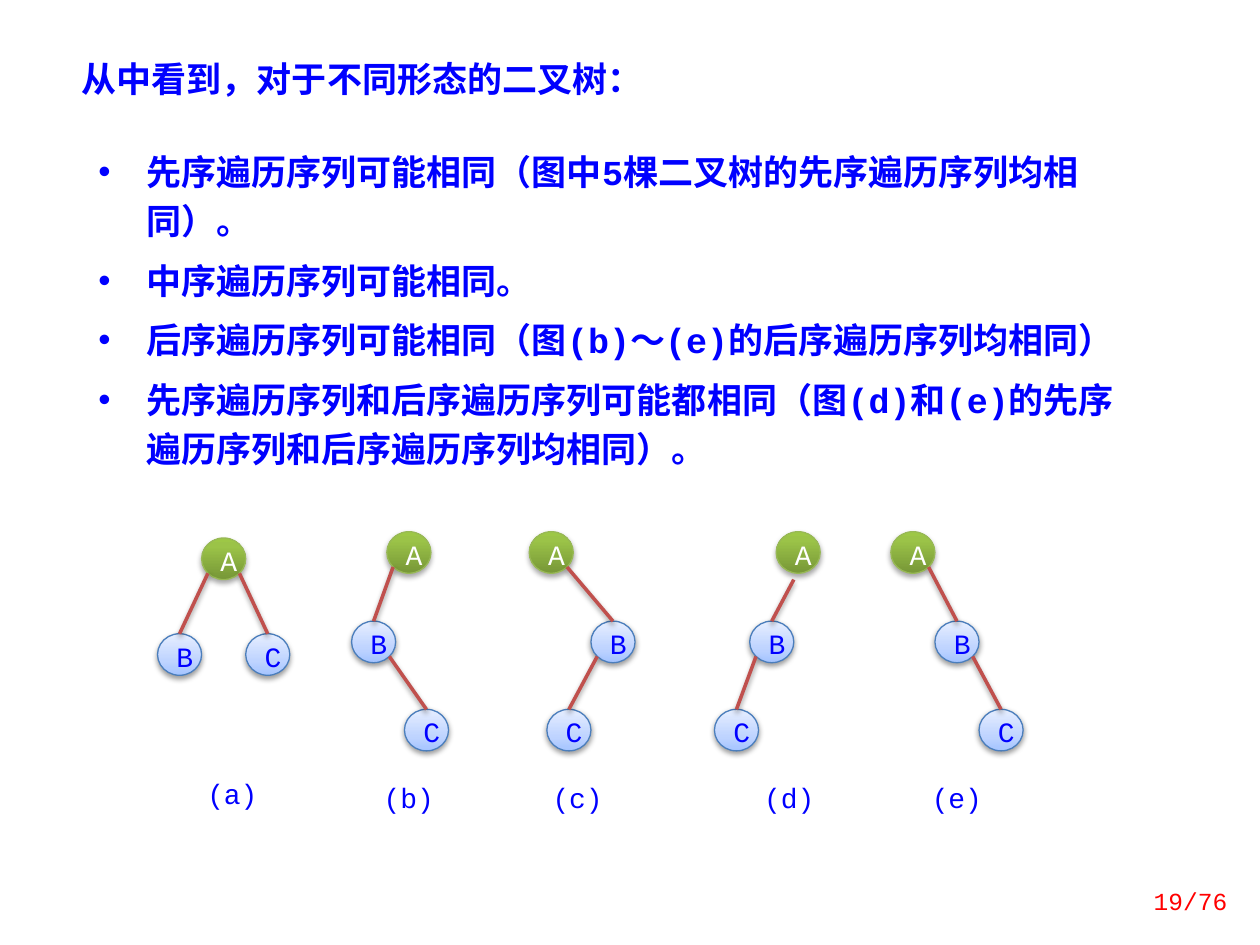
from pptx import Presentation
from pptx.dml.color import RGBColor
from pptx.enum.shapes import MSO_CONNECTOR, MSO_SHAPE
from pptx.enum.text import MSO_ANCHOR, PP_ALIGN
from pptx.oxml import parse_xml
from pptx.oxml.ns import nsdecls
from pptx.util import Inches, Pt

BLUE, WHITE, RED = "0000FF", "FFFFFF", "FF0000"
GREEN = [(0, "779737"), (80, "9BC348"), (100, "9DC746")]
SKY = [(0, "A4C4FF"), (35, "BFD4FF"), (100, "E6EEFF")]


def color(code):
    return RGBColor.from_string(code)


def write(frame, text, size=16, fill=BLUE, bold=False, align=None,
          lead=None, before=None, bullet=False, anchor=MSO_ANCHOR.TOP):
    frame.word_wrap = True
    frame.vertical_anchor = anchor
    frame.text = text
    for para in frame.paragraphs:
        para.alignment = align
        para.line_spacing = lead
        para.space_before = before
        if bullet:
            props = para._p.get_or_add_pPr()
            props.set("marL", str(Inches(0.38)))
            props.set("indent", str(-Inches(0.38)))
            props.append(parse_xml(f'<a:buFont {nsdecls("a")} typeface="Arial"/>'))
            props.append(parse_xml(f'<a:buChar {nsdecls("a")} char="•"/>'))
        for run in para.runs:
            font = run.font
            font.name, font.size, font.bold = "Courier New", Pt(size), bold
            font.color.rgb = color(fill)


class Deck:
    node_w, node_h = 0.35, 0.33
    label = dict(align=PP_ALIGN.CENTER, lead=Pt(21))

    def __init__(self):
        self.file = Presentation()
        self.file.slide_width, self.file.slide_height = Inches(10), Inches(7.5)
        self.slide = self.file.slides.add_slide(self.file.slide_layouts[6])
        self.shapes = self.slide.shapes

    def shade(self, item, alpha=38, drop=1.6):
        item._element.spPr.append(parse_xml(
            f'<a:effectLst {nsdecls("a")}><a:outerShdw blurRad="{Pt(3.1)}" '
            f'dist="{Pt(drop)}" dir="5400000" rotWithShape="0">'
            f'<a:srgbClr val="000000"><a:alpha val="{alpha * 1000}"/></a:srgbClr>'
            '</a:outerShdw></a:effectLst>'))

    def text(self, box, words, **style):
        item = self.shapes.add_textbox(*map(Inches, box))
        write(item.text_frame, words, **style)

    def panel(self, box, words, **style):
        item = self.shapes.add_shape(MSO_SHAPE.RECTANGLE, *map(Inches, box))
        item.shadow.inherit = False
        item.fill.solid()
        item.fill.fore_color.rgb = color(WHITE)
        item.line.fill.background()
        frame = item.text_frame
        frame.margin_left, frame.margin_right = Inches(0.16), Inches(0.1)
        frame.margin_top = frame.margin_bottom = Inches(0.12)
        write(frame, words, **style)

    def node(self, name, left, top):
        root = name == "A"
        box = left, top, self.node_w, self.node_h
        item = self.shapes.add_shape(MSO_SHAPE.OVAL, *map(Inches, box))
        stops = "".join(
            f'<a:gs pos="{pos * 1000}"><a:srgbClr val="{code}"/></a:gs>'
            for pos, code in (GREEN if root else SKY))
        item._element.spPr.insert(2, parse_xml(
            f'<a:gradFill {nsdecls("a")} rotWithShape="1"><a:gsLst>{stops}</a:gsLst>'
            '<a:lin ang="16200000" scaled="0"/></a:gradFill>'))
        item.line.color.rgb = color("98B955" if root else "4B7EBC")
        item.line.width = Pt(0.75)
        self.shade(item, *((35, 1.8) if root else ()))
        write(item.text_frame, name, fill=WHITE if root else BLUE,
              anchor=MSO_ANCHOR.MIDDLE, **self.label)

    def edge(self, start, end):
        item = self.shapes.add_connector(
            MSO_CONNECTOR.STRAIGHT, *map(Inches, start + end))
        item.line.color.rgb = color("C0504D")
        item.line.width = Pt(2)
        self.shade(item)

    def tree(self, nodes, links, shift):
        for name, spot in nodes.items():
            self.node(name, *spot)
        for top, low in links:
            (px, py), (cx, cy) = nodes[top], nodes[low]
            side = 0.05 if cx < px else 0.3
            dx, dy = shift if top == "A" else (0, 0)
            self.edge((px + side + dx, py + 0.28 + dy),
                      (cx + self.node_w / 2, cy))


def main():
    deck = Deck()
    deck.text((0.55, 0.47, 5.23, 0.37), "从中看到，对于不同形态的二叉树：",
              size=20, bold=True, lead=0.8)
    points = [
        "先序遍历序列可能相同（图中5棵二叉树的先序遍历序列均相同）。",
        "中序遍历序列可能相同。",
        "后序遍历序列可能相同（图(b)～(e)的后序遍历序列均相同）",
        "先序遍历序列和后序遍历序列可能都相同（图(d)和(e)的先序遍历序列和后序遍历序列均相同）。",
    ]
    deck.panel((0.62, 1.02, 8.59, 2.85), "\n".join(points), size=20, bold=True,
               align=PP_ALIGN.LEFT, lead=Pt(28), before=Pt(6), bullet=True)

    fork, chain = ("AB", "AC"), ("AB", "BC")
    low, high = (4.27, 5.03, 5.03), (4.22, 4.93, 5.63)
    still = (0, 0)
    trees = [
        ("(a)", (1.6, 1.25, 1.95), low, fork, still, (1.53, 6.09)),
        ("(b)", (3.07, 2.79, 3.21), high, chain, still, (2.93, 6.12)),
        ("(c)", (4.2, 4.69, 4.34), high, chain, still, (4.27, 6.12)),
        ("(d)", (6.16, 5.95, 5.67), high, chain, (0.09, 0.1), (5.95, 6.12)),
        ("(e)", (7.07, 7.42, 7.77), high, chain, still, (7.28, 6.12)),
    ]
    for name, lefts, tops, links, shift, spot in trees:
        deck.tree(dict(zip("ABC", zip(lefts, tops))), links, shift)
        deck.text((*spot, 0.63, 0.4), name, **deck.label)

    deck.text((8.78, 6.95, 1.06, 0.4), "19/76", size=14, fill=RED,
              align=PP_ALIGN.RIGHT, anchor=MSO_ANCHOR.MIDDLE)
    deck.file.save("out.pptx")


if __name__ == "__main__":
    main()
